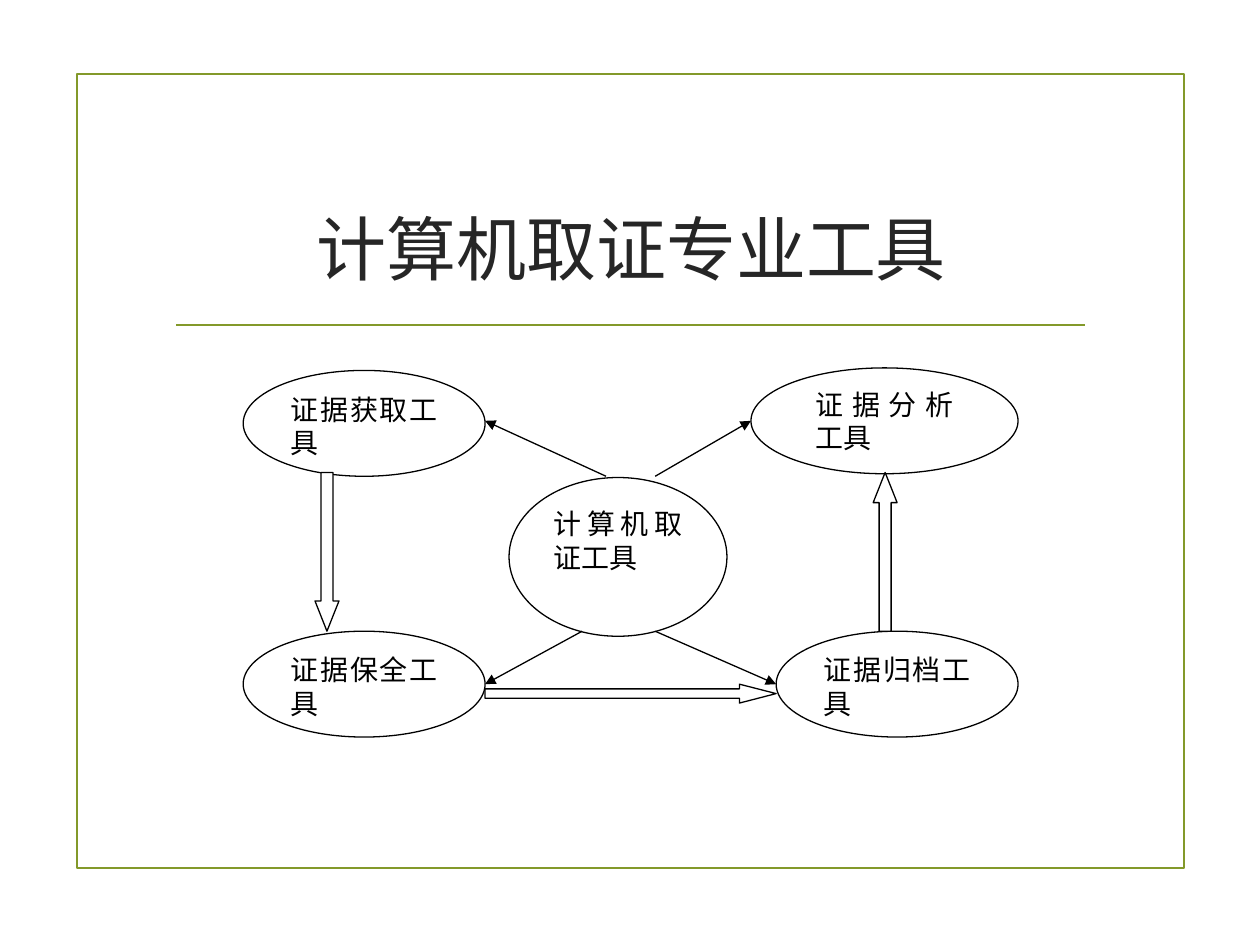
from dataclasses import dataclass

from lxml import etree
from pptx import Presentation
from pptx.dml.color import RGBColor
from pptx.enum.shapes import MSO_CONNECTOR, MSO_SHAPE
from pptx.enum.text import MSO_ANCHOR, PP_ALIGN
from pptx.oxml.ns import qn
from pptx.util import Inches, Pt

RECT, OVAL = MSO_SHAPE.RECTANGLE, MSO_SHAPE.OVAL
DOWN, RIGHT, UP = MSO_SHAPE.DOWN_ARROW, MSO_SHAPE.RIGHT_ARROW, MSO_SHAPE.UP_ARROW
STRAIGHT = MSO_CONNECTOR.STRAIGHT
TOP, MIDDLE = MSO_ANCHOR.TOP, MSO_ANCHOR.MIDDLE
CENTER, JUSTIFY = PP_ALIGN.CENTER, PP_ALIGN.JUSTIFY


@dataclass(frozen=True)
class Theme:
    font: str = "Times New Roman"
    accent: RGBColor = RGBColor(0x83, 0x99, 0x2A)
    title: RGBColor = RGBColor(0x26, 0x26, 0x26)
    ink: RGBColor = RGBColor(0, 0, 0)
    paper: RGBColor = RGBColor(255, 255, 255)
    title_size: int = 40
    node_size: int = 16
    frame_width: float = 1.25
    line_width: float = 0.75


THEME = Theme()


def set_text(sp, text, size, color, align, anchor, inset=0.1):
    tf = sp.text_frame
    frame_format = {
        "word_wrap": True, "vertical_anchor": anchor,
        "margin_left": Inches(inset), "margin_right": Inches(inset),
        "margin_top": Inches(0.05), "margin_bottom": Inches(0.05),
    }
    for name, value in frame_format.items():
        setattr(tf, name, value)
    p = tf.paragraphs[0]
    p.alignment = align
    r = p.add_run()
    r.text = text
    for name, value in {"name": THEME.font, "size": Pt(size)}.items():
        setattr(r.font, name, value)
    r.font.color.rgb = color


def add_outlined(slide, kind, box, color, width, filled=True):
    sp = slide.shapes.add_shape(kind, *map(Inches, box))
    sp.shadow.inherit = False
    if filled:
        sp.fill.solid()
        sp.fill.fore_color.rgb = THEME.paper
    else:
        sp.fill.background()
    sp.line.color.rgb = color
    sp.line.width = Pt(width)
    return sp


def add_line(slide, start, end, color, width, arrow=False):
    line = slide.shapes.add_connector(STRAIGHT, *map(Inches, (*start, *end)))
    line.line.color.rgb = color
    line.line.width = Pt(width)
    if arrow:
        ln = line.line._get_or_add_ln()
        etree.SubElement(ln, qn("a:tailEnd"), type="triangle")
    etree.SubElement(line._element.spPr, qn("a:effectLst"))


def add_frame(slide, box):
    """Border of the slide, with the rule below the title."""
    left, top, width, _ = box
    add_outlined(slide, RECT, box, THEME.accent, THEME.frame_width, filled=False)
    add_line(slide, (left + 0.79, top + 1.99), (left + width - 0.79, top + 1.99),
             THEME.accent, THEME.frame_width)


def add_title(slide, box, text):
    sp = slide.shapes.add_textbox(*map(Inches, box))
    set_text(sp, text, THEME.title_size, THEME.title, CENTER, MIDDLE)


def add_tool_diagram(slide, box):
    """Central tool linked to four others, with block arrows for the sequence."""
    x, y, width, height = box
    node_w, node_h = 1.92, 0.84
    right, bottom = x + width, y + height
    low = bottom - node_h
    inner_left, inner_right = x + node_w, right - node_w
    wide = 2.12
    hub_top, hub_h = y + 0.87, 1.26

    # Ellipses: text, box, anchor, side inset
    nodes = [
        ("计算机取证工具", (x + 2.11, hub_top, 1.73, hub_h), TOP, 0.1),
        ("证据获取工具", (x, y + 0.02, node_w, node_h), TOP, 0.1),
        ("证据归档工具", (inner_right, low, node_w, node_h), TOP, 0.1),
        ("证据保全工具", (x, low, node_w, node_h), TOP, 0.1),
        ("证据分析工具", (right - wide, y, wide, node_h), MIDDLE, 0.2),
    ]
    for text, node_box, anchor, inset in nodes:
        sp = add_outlined(slide, OVAL, node_box, THEME.ink, THEME.line_width)
        set_text(sp, text, THEME.node_size, THEME.ink, JUSTIFY, anchor, inset)

    # Thin arrows from the centre
    high_y, low_y = y + node_h / 2, low + node_h / 2
    links = [
        ((x + 2.88, hub_top - 0.01), (inner_left, high_y)),
        ((x + 2.69, low), (inner_left, low_y)),
        ((x + 3.27, hub_top - 0.01), (right - wide, high_y)),
        ((x + 3.27, low), (inner_right, low_y)),
    ]
    for start, end in links:
        add_line(slide, start, end, THEME.ink, THEME.line_width, arrow=True)

    # Block arrows: kind, box, head length
    shaft_w, shaft_top = 0.19, y + 0.83
    blocks = [
        (DOWN, (x + 0.57, shaft_top, shaft_w, low - shaft_top), 1.26),
        (RIGHT, (inner_left, low_y, inner_right - inner_left, 0.15), 1.94),
        (UP, (x + 5, shaft_top, shaft_w, low - shaft_top), 1.26),
    ]
    for kind, block_box, head in blocks:
        sp = add_outlined(slide, kind, block_box, THEME.ink, THEME.line_width)
        sp.adjustments[0] = 0.5
        sp.adjustments[1] = head


def main():
    prs = Presentation()
    prs.slide_width, prs.slide_height = Inches(10), Inches(7.5)
    slide = prs.slides.add_slide(prs.slide_layouts[6])
    add_frame(slide, (0.61, 0.59, 8.79, 6.3))
    add_title(slide, (1.29, 1.25, 7.44, 1.43), "计算机取证专业工具")
    add_tool_diagram(slide, (1.93, 2.92, 6.15, 2.93))
    prs.save("out.pptx")


if __name__ == "__main__":
    main()
